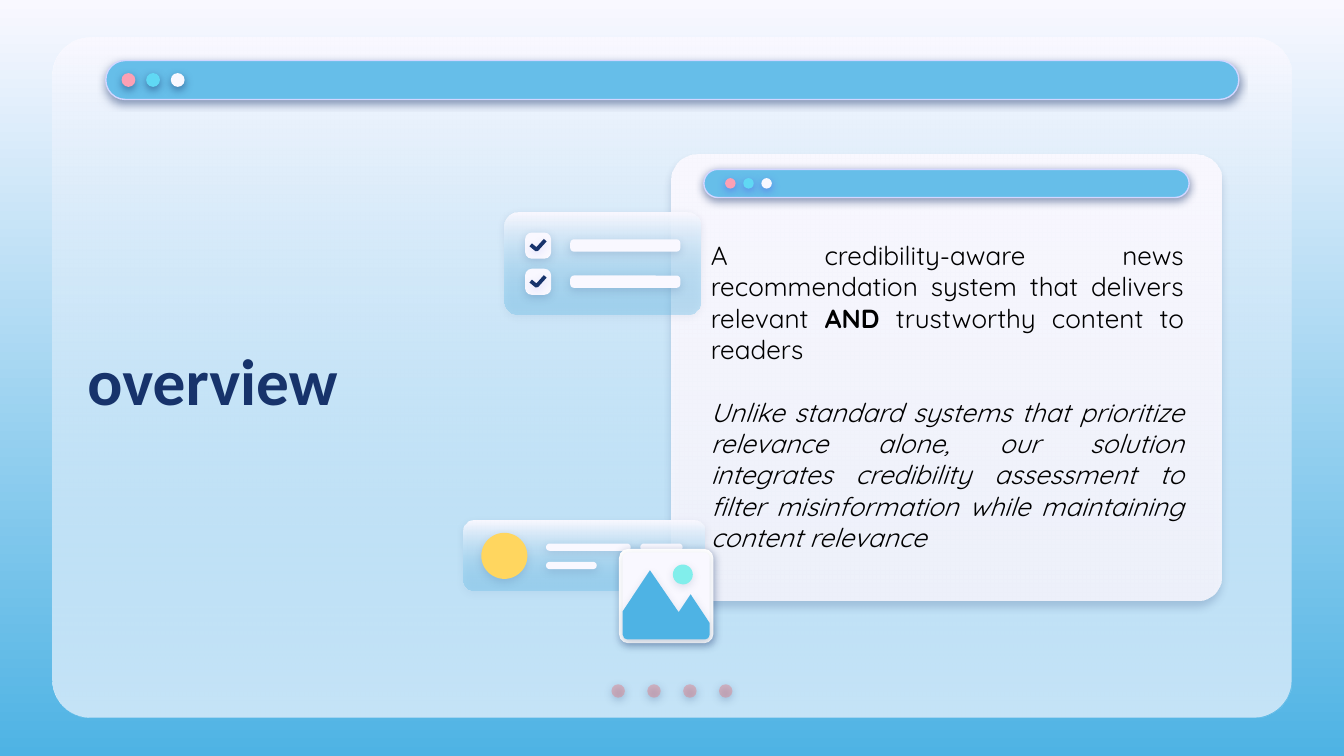
import pptx
import pptx.dml.color
import pptx.enum.shapes
import pptx.enum.text
import pptx.oxml
import pptx.oxml.ns
import pptx.util
from lxml import etree

Pt = pptx.util.Pt
SHAPE = pptx.enum.shapes.MSO_SHAPE
COLORS = {
    "paper": "F9F8FF", "sky": "4EB3E4", "bar": "66BEE9", "rim": "D2D6FF",
    "navy": "17336B", "violet": "5352EE", "pink": "FDA0B4", "cyan": "60D8F4",
    "rose": "E27B83", "sun": "FFD65F", "aqua": "81EEEB", "white": "FFFFFF",
    "black": "000000",
}
GLASS = ("bar", 35)
DOT_COLORS = ("pink", "cyan", "paper")


def rgb(name):
    """Return the named colour."""
    return pptx.dml.color.RGBColor.from_string(COLORS[name])


def add_alpha(color_element, percent):
    """Make a colour element partly transparent."""
    alpha = etree.SubElement(color_element, pptx.oxml.ns.qn("a:alpha"))
    alpha.set("val", str(percent * 1000))


def fade(fill, bottom, opacity=100):
    """Fill with a vertical gradient from paper to the bottom colour."""
    fill.gradient()
    fill.gradient_angle = 270
    for stop, name, position in zip(fill.gradient_stops, ("paper", bottom), (0, 1)):
        stop.color.rgb = rgb(name)
        stop.position = position
    if opacity < 100:
        colors = fill._xPr.findall(".//" + pptx.oxml.ns.qn("a:srgbClr"))
        add_alpha(colors[-1], opacity)


def cast_shadow(shape, color, opacity, distance=1.5, angle=90):
    """Give a shape a soft outer shadow."""
    shape.shadow.inherit = False
    effects = shape._element.spPr.find(pptx.oxml.ns.qn("a:effectLst"))
    shadow = etree.SubElement(effects, pptx.oxml.ns.qn("a:outerShdw"))
    for key, value in (("blurRad", Pt(4.5)), ("dist", Pt(distance)),
                       ("dir", angle * 60000), ("algn", "bl"), ("rotWithShape", 0)):
        shadow.set(key, str(value))
    tint = etree.SubElement(shadow, pptx.oxml.ns.qn("a:srgbClr"))
    tint.set("val", COLORS[color])
    add_alpha(tint, opacity)


def paint(shape, fill, shadow=None, rim=None):
    """Set the fill, rim and shadow of a shape; a pair is a gradient."""
    if isinstance(fill, tuple):
        fade(shape.fill, *fill)
    else:
        shape.fill.solid()
        shape.fill.fore_color.rgb = rgb(fill)
    if rim:
        shape.line.color.rgb = rgb(rim)
        shape.line.width = Pt(0.75)
    else:
        shape.line.fill.background()
    shape.shadow.inherit = False
    if shadow:
        cast_shadow(shape, *shadow)


def add_rounded(slide, box, radius, fill, shadow=None, rim=None):
    """Draw a rounded rectangle with a corner radius in points."""
    shape = slide.shapes.add_shape(SHAPE.ROUNDED_RECTANGLE, *map(Pt, box))
    shape.adjustments[0] = min(0.5, radius / min(box[2:]))
    paint(shape, fill, shadow, rim)


def add_dot(slide, x, y, size, fill, shadow):
    """Draw a circle around a centre point."""
    dot = slide.shapes.add_shape(
        SHAPE.OVAL, Pt(x - size / 2), Pt(y - size / 2), Pt(size), Pt(size))
    paint(dot, fill, shadow)
    return dot


def add_outline(slide, left, top, points, close):
    """Draw a freeform through points relative to a corner."""
    corners = [(Pt(left + x), Pt(top + y)) for x, y in points]
    builder = slide.shapes.build_freeform(*corners[0])
    builder.add_line_segments(corners[1:], close=close)
    return builder.convert_to_shape()


def add_window_bar(slide, box, first, gap, size, dot_shadow):
    """Draw a title bar with three window buttons."""
    left, top, width, height = box
    add_rounded(slide, box, height / 2, "bar", ("navy", 50), "rim")
    for index, color in enumerate(DOT_COLORS):
        add_dot(slide, left + first + index * gap, top + height / 2, size,
                color, (dot_shadow, 50))


def add_backdrop(slide, box):
    """Draw the large window with its bar and page dots."""
    left, top, width, height = box
    add_rounded(slide, box, 20.4, "paper")
    add_rounded(slide, box, 20.4, GLASS)
    for index in range(4):
        dot = add_dot(slide, left + width / 2 + (index - 1.5) * 19.2,
                      top + height - 14.3, 7.2, "rose", ("navy", 50))
        add_alpha(dot.fill._xPr.find(".//" + pptx.oxml.ns.qn("a:srgbClr")), 44)
    add_window_bar(slide, (left + 28.7, top + 12.2, 607, 20.9),
                   12.1, 13.2, 7.4, "navy")


def add_title(slide, box):
    """Place the slide title above the backdrop."""
    title = slide.shapes.title
    title.left, title.top, title.width, title.height = map(Pt, box)
    slide.shapes._spTree.append(title._element)
    frame = title.text_frame
    frame.text = "overview"
    frame.auto_size = pptx.enum.text.MSO_AUTO_SIZE.NONE
    frame.vertical_anchor = pptx.enum.text.MSO_ANCHOR.MIDDLE
    frame.margin_left = frame.margin_right = Pt(7.2)
    frame.margin_top = frame.margin_bottom = Pt(7.2)
    heading = frame.paragraphs[0]
    heading.alignment = pptx.enum.text.PP_ALIGN.LEFT
    heading.font.name, heading.font.size = "Calibri", Pt(35)
    heading.font.bold = True
    heading.font.color.rgb = rgb("navy")


def add_card(slide, box):
    """Draw the small window that carries the text."""
    left, top, width, height = box
    add_rounded(slide, box, 13.4, ("paper", 87), ("navy", 22, 3.8, 91))
    add_window_bar(slide, (left + 17.3, top + 8.1, 260, 15.1),
                   14.2, 9.7, 5.6, "violet")


def add_checklist(slide, box):
    """Draw the panel with two ticked lines."""
    left, top, width, height = box
    shadow = ("navy", 15)
    add_rounded(slide, box, 7.2, GLASS, shadow)
    for row in range(2):
        y = top + 10.8 + row * 19.4
        add_rounded(slide, (left + 35.1, y + 3.6, 59, 6.6), 2, "paper", shadow)
        add_rounded(slide, (left + 10.9, y, 14, 14), 3.6, "paper", shadow)
        tick = add_outline(slide, left + 10.9, y,
                           [(3, 6.6), (6.2, 9.2), (10.8, 4.1)], False)
        tick.fill.background()
        tick.line.color.rgb = rgb("navy")
        tick.line.width = Pt(2)
        cast_shadow(tick, "violet", 15)


def add_profile(slide, box):
    """Draw the panel with a round portrait and text lines."""
    left, top, width, height = box
    shadow = ("navy", 13)
    add_rounded(slide, box, 5.4, GLASS, shadow)
    add_dot(slide, left + 21.9, top + 18.8, 24.7, "sun", shadow)
    for x, y, length in ((44.2, 12.2, 45.4), (94.7, 12.2, 22.7), (44.2, 22, 27.2)):
        add_rounded(slide, (left + x, top + y, length, 3.9), 1.95, "paper", shadow)


def add_landscape(slide, box):
    """Draw the framed mountain icon."""
    left, top, width, height = box
    shadow = ("navy", 13)
    add_rounded(slide, box, 5, "white", ("navy", 33, 1.5, 64))
    add_rounded(slide, (left + 2, top + 2, width - 4, height - 4), 3, "paper", shadow)
    peaks = [(16.6, 11.5), (2, 33.5), (2, 46), (2.8, 47.9), (4.6, 48.6),
             (46, 48.6), (47.8, 47.9), (48.6, 46), (48.6, 39.8),
             (38.4, 24.4), (32, 34)]
    paint(add_outline(slide, left, top, peaks, True), "sky", shadow)
    add_dot(slide, left + 34.2, top + 13.8, 10.7, "aqua", shadow)


def add_summary(slide, box):
    """Place the two justified paragraphs."""
    frame = slide.shapes.add_textbox(*map(Pt, box)).text_frame
    frame.word_wrap = True
    statement = frame.paragraphs[0]
    for text, bold in (
            ("A credibility-aware news recommendation system that delivers relevant ", False),
            ("AND", True), (" trustworthy content to readers", False)):
        run = statement.add_run()
        run.text, run.font.bold = text, bold
    contrast = frame.add_paragraph()
    contrast.text = ("Unlike standard systems that prioritize relevance alone, our "
                     "solution integrates credibility assessment to filter "
                     "misinformation while maintaining content relevance")
    contrast.font.italic = True
    contrast.space_before = Pt(16.8)
    for paragraph in frame.paragraphs:
        paragraph.alignment = pptx.enum.text.PP_ALIGN.JUSTIFY
        paragraph.font.name, paragraph.font.size = "Quicksand", Pt(14)
        paragraph.font.color.rgb = rgb("black")


def main():
    """Build and save the overview slide."""
    deck = pptx.Presentation()
    deck.slide_width, deck.slide_height = Pt(720), Pt(405)
    slide = deck.slides.add_slide(deck.slide_layouts[5])
    fade(slide.background.fill, "sky")
    add_backdrop(slide, (28, 20.2, 664, 364.3))
    add_title(slide, (39.6, 146.9, 329, 112.3))
    add_card(slide, (359.8, 82.6, 294.7, 239.2))
    add_checklist(slide, (270.4, 113.8, 104.8, 54.7))
    add_profile(slide, (248.3, 279, 129.2, 37.2))
    add_landscape(slide, (331.6, 294, 50.6, 50.6))
    add_summary(slide, (373.7, 124.6, 267.8, 177.1))
    deck.save("out.pptx")


if __name__ == "__main__":
    main()
